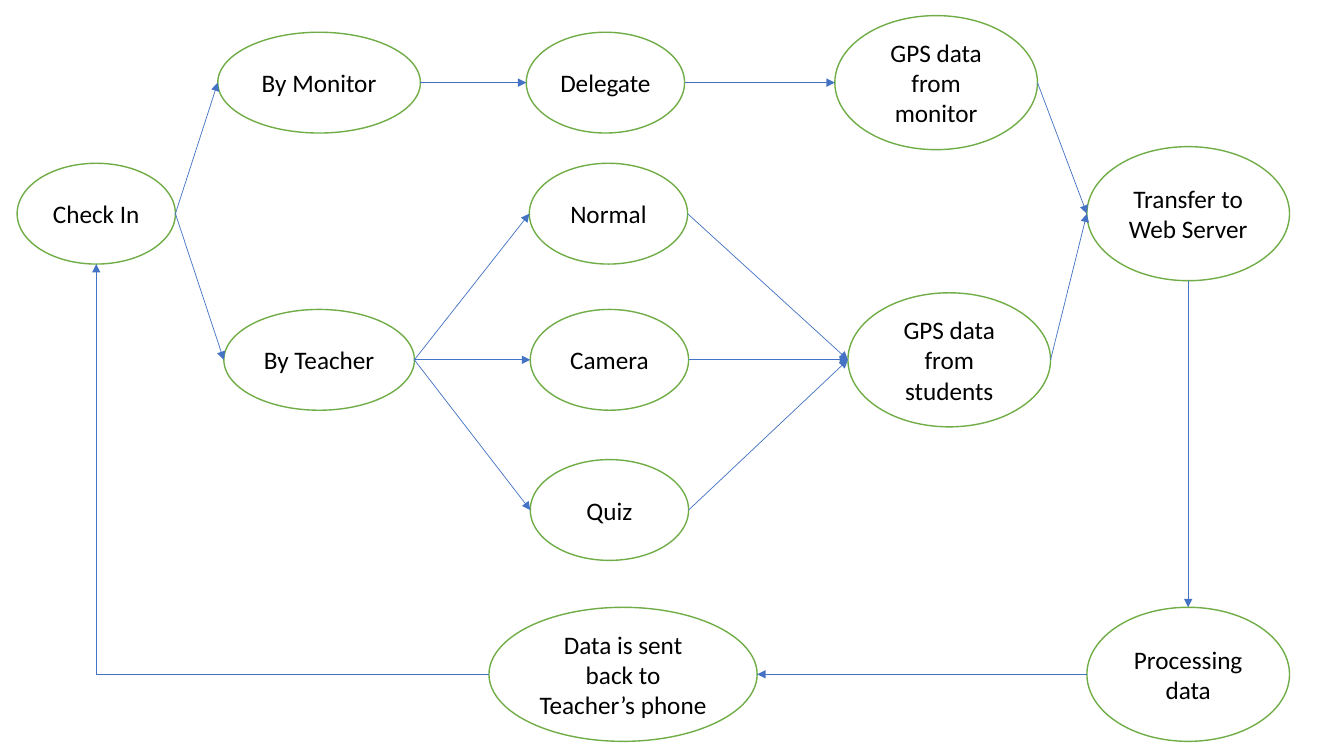
from lxml.etree import SubElement
from pptx import Presentation
from pptx.dml.color import RGBColor
from pptx.enum.shapes import MSO_CONNECTOR, MSO_SHAPE
from pptx.enum.text import MSO_ANCHOR, PP_ALIGN
from pptx.oxml.ns import qn
from pptx.util import Inches, Pt

WHITE = RGBColor(0xFF, 0xFF, 0xFF)
BLACK = RGBColor(0x00, 0x00, 0x00)
GREEN = RGBColor(0x70, 0xAD, 0x47)
BLUE = RGBColor(0x44, 0x72, 0xC4)
TOP, LEFT, BOTTOM, RIGHT = 0, 2, 4, 6
SMALL = (1.57, 1)
LARGE = (2.01, 1.33)


def add_text(tf, text, size=18, font="Calibri", color=BLACK, align=PP_ALIGN.CENTER):
    """Write one formatted paragraph into a text frame."""
    tf.word_wrap = True
    tf.vertical_anchor = MSO_ANCHOR.MIDDLE
    p = tf.paragraphs[0]
    p.alignment = align
    r = p.add_run()
    r.text = text
    r.font.size = Pt(size)
    r.font.name = font
    r.font.color.rgb = color


def add_step(s, text, left, middle, size):
    """Add an ellipse, placed by its left edge and vertical middle."""
    width, height = size
    sp = s.shapes.add_shape(MSO_SHAPE.OVAL, Inches(left), Inches(middle - height / 2),
                            Inches(width), Inches(height))
    sp.shadow.inherit = False
    sp.fill.solid()
    sp.fill.fore_color.rgb = WHITE
    sp.line.color.rgb = GREEN
    sp.line.width = Pt(1)
    add_text(sp.text_frame, text)
    return sp


def site_point(sp, site):
    """Return the position of an ellipse's connection site."""
    middle_x, middle_y = sp.left + sp.width // 2, sp.top + sp.height // 2
    return {TOP: (middle_x, sp.top), LEFT: (sp.left, middle_y),
            BOTTOM: (middle_x, sp.top + sp.height),
            RIGHT: (sp.left + sp.width, middle_y)}[site]


def add_arrow(s, start, end, start_site=RIGHT, end_site=LEFT, bent=False):
    """Join two ellipses with an arrow glued to their connection sites."""
    kind = MSO_CONNECTOR.ELBOW if bent else MSO_CONNECTOR.STRAIGHT
    cxn = s.shapes.add_connector(kind, *site_point(start, start_site),
                                 *site_point(end, end_site))
    cxn.line.color.rgb = BLUE
    cxn.line.width = Pt(0.5)
    el = cxn._element
    if bent:
        el.spPr.find(qn("a:prstGeom")).set("prst", "bentConnector2")
    SubElement(el.spPr.find(qn("a:ln")), qn("a:tailEnd"), type="triangle")
    SubElement(el.spPr, qn("a:effectLst"))
    glue = el.find(".//" + qn("p:cNvCxnSpPr"))
    for tag, sp, site in (("a:stCxn", start, start_site), ("a:endCxn", end, end_site)):
        SubElement(glue, qn(tag), id=str(sp.shape_id), idx=str(site))


def draw_collection(s, left, top):
    """Draw the check-in paths that collect GPS data; return their outer steps."""
    first, second, third, fourth = (top + y for y in (0.66, 1.96, 3.41, 4.9))
    check_in = add_step(s, "Check In", left, second, SMALL)
    monitor = add_step(s, "By Monitor", left + 1.99, first, (2.01, 1))
    teacher = add_step(s, "By Teacher", left + 2.05, third, (1.89, 1))
    delegate = add_step(s, "Delegate", left + 5.05, first, SMALL)
    monitor_gps = add_step(s, "GPS data from monitor", left + 8.11, first, LARGE)
    student_gps = add_step(s, "GPS data from students", left + 8.24, third, LARGE)
    for start, end in ((check_in, monitor), (check_in, teacher),
                       (monitor, delegate), (delegate, monitor_gps)):
        add_arrow(s, start, end)
    for text, x, middle in (("Normal", 5.08, second), ("Camera", 5.09, third),
                            ("Quiz", 5.09, fourth)):
        method = add_step(s, text, left + x, middle, SMALL)
        add_arrow(s, teacher, method)
        add_arrow(s, method, student_gps)
    return check_in, monitor_gps, student_gps


def draw_server_loop(s, left, top, check_in, sources):
    """Draw the server steps and the way back to the check-in."""
    transfer = add_step(s, "Transfer to Web Server", left + 5.93, top + 0.67, LARGE)
    processing = add_step(s, "Processing data", left + 5.93, top + 5.24, LARGE)
    reply = add_step(s, "Data is sent back to Teacher’s phone", left, top + 5.24,
                     (2.66, 1.33))
    for source in sources:
        add_arrow(s, source, transfer)
    add_arrow(s, transfer, processing, BOTTOM, TOP)
    add_arrow(s, processing, reply, LEFT, RIGHT)
    add_arrow(s, reply, check_in, LEFT, BOTTOM, bent=True)


def main():
    """Build the check-in flow slide."""
    prs = Presentation()
    prs.slide_width, prs.slide_height = Inches(13.33), Inches(7.5)
    s = prs.slides.add_slide(prs.slide_layouts[6])
    s.background.fill.solid()
    s.background.fill.fore_color.rgb = WHITE
    check_in, *sources = draw_collection(s, 0.17, 0.16)
    draw_server_loop(s, 4.85, 1.45, check_in, sources)
    prs.save("out.pptx")


if __name__ == "__main__":
    main()
